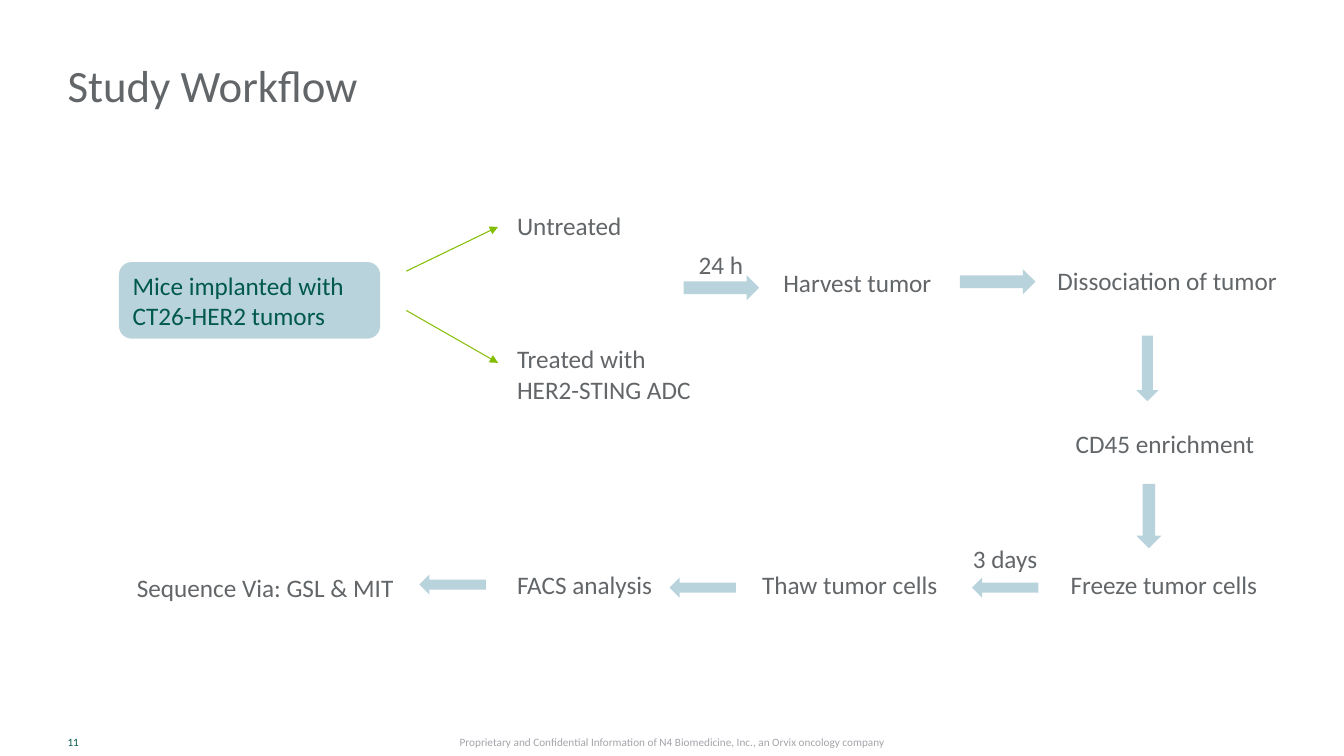
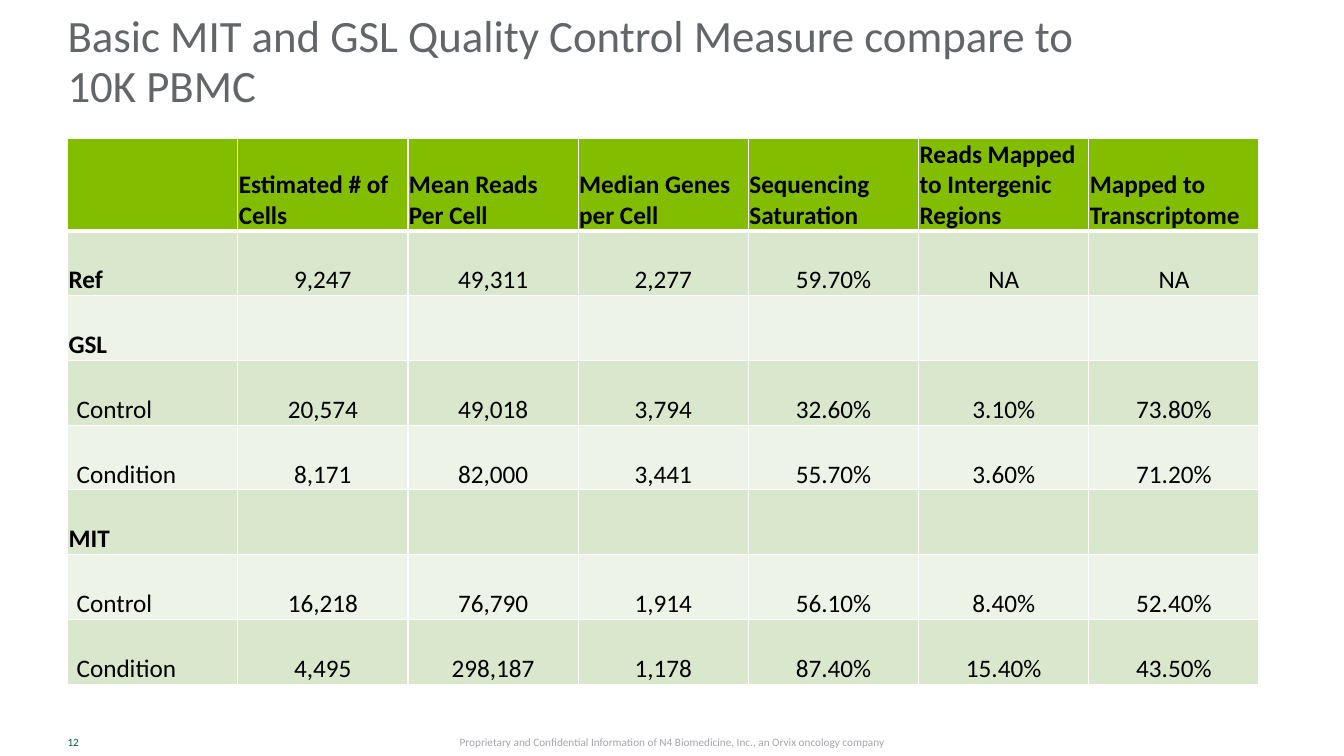
from lxml import etree
from pptx import Presentation
from pptx.dml.color import RGBColor
from pptx.enum.shapes import MSO_CONNECTOR, MSO_SHAPE
from pptx.enum.text import MSO_ANCHOR, MSO_AUTO_SIZE, PP_ALIGN
from pptx.oxml.ns import qn
from pptx.util import Inches, Pt

FONT = "Calibri"
GREY = "636669"
FOOTER_GREY = "A3A5AA"
TEAL = "00594C"
BLUE = "B9D3DC"
GREEN = "83BD00"
BANDS = ("EDF4E7", "D9E8CC")
WHITE = "FFFFFF"
BLACK = "000000"
FOOTER = ("Proprietary and Confidential Information of N4 Biomedicine, Inc., "
          "an Orvix oncology company")

LABELS = [
    ("Untreated", 5.03, 2.04, 1.25),
    ("Harvest tumor", 7.67, 2.6, 1.69),
    ("Dissociation of tumor", 10.39, 2.58, 2.4),
    ("CD45 enrichment", 10.57, 4.2, 1.99),
    ("Freeze tumor cells", 10.52, 5.6, 2.08),
    ("FACS analysis", 5.03, 5.6, 1.55),
    ("Thaw tumor cells", 7.46, 5.6, 1.96),
    ("3 days", 9.55, 5.34, 0.85),
    ("24 h", 6.83, 2.42, 0.65),
    ("Sequence Via: GSL & MIT", 1.26, 5.63, 2.94),
]
BLOCK_ARROWS = [
    (MSO_SHAPE.RIGHT_ARROW, 6.78, 2.73, 0.75, 0.25),
    (MSO_SHAPE.RIGHT_ARROW, 9.52, 2.67, 0.75, 0.25),
    (MSO_SHAPE.DOWN_ARROW, 11.27, 3.33, 0.22, 0.65),
    (MSO_SHAPE.DOWN_ARROW, 11.27, 4.8, 0.25, 0.64),
    (MSO_SHAPE.LEFT_ARROW, 9.64, 5.73, 0.66, 0.2),
    (MSO_SHAPE.LEFT_ARROW, 6.64, 5.73, 0.66, 0.2),
    (MSO_SHAPE.LEFT_ARROW, 4.16, 5.7, 0.66, 0.2),
]
QC_ROWS = [
    ("", "Estimated # of Cells", "Mean Reads Per Cell", "Median Genes per Cell",
     "Sequencing Saturation", "Reads Mapped to Intergenic Regions",
     "Mapped to Transcriptome"),
    ("Ref", "9,247", "49,311", "2,277", "59.70%", "NA", "NA"),
    ("GSL", "", "", "", "", "", ""),
    ("Control", "20,574", "49,018", "3,794", "32.60%", "3.10%", "73.80%"),
    ("Condition", "8,171", "82,000", "3,441", "55.70%", "3.60%", "71.20%"),
    ("MIT", "", "", "", "", "", ""),
    ("Control", "16,218", "76,790", "1,914", "56.10%", "8.40%", "52.40%"),
    ("Condition", "4,495", "298,187", "1,178", "87.40%", "15.40%", "43.50%"),
]
SUBROWS = ("Control", "Condition")


def rgb(color):
    return RGBColor.from_string(color)


def box(*lengths):
    return [Inches(n) for n in lengths]


def set_text(tf, text, size, color, bold=False, align=PP_ALIGN.LEFT):
    tf.text = text
    p = tf.paragraphs[0]
    p.alignment = align
    for r in p.runs:
        r.font.name = FONT
        r.font.size = Pt(size)
        r.font.bold = bold
        r.font.color.rgb = rgb(color)
    return p


def set_margins(target, left, top, right, bottom):
    target.margin_left, target.margin_top = Inches(left), Inches(top)
    target.margin_right, target.margin_bottom = Inches(right), Inches(bottom)


def add_text(slide, text, at, size=18, color=GREY, align=PP_ALIGN.LEFT, wrap=True):
    tf = slide.shapes.add_textbox(*box(*at)).text_frame
    tf.word_wrap = wrap
    set_text(tf, text, size, color, align=align)
    return tf


def add_slide(prs, title, number):
    slide = prs.slides.add_slide(prs.slide_layouts[5])
    sp = slide.shapes.title
    sp.left, sp.top, sp.width, sp.height = box(0.67, 0, 10.54, 1.16)
    tf = sp.text_frame
    tf.auto_size = MSO_AUTO_SIZE.NONE
    tf.word_wrap = True
    tf.vertical_anchor = MSO_ANCHOR.BOTTOM
    set_margins(tf, 0, 0.05, 0.1, 0.05)
    set_text(tf, title, 32, GREY).line_spacing = Pt(36)

    tf = add_text(slide, str(number), (0.67, 7.22, 0.67, 0.28), 8, TEAL)
    tf.vertical_anchor = MSO_ANCHOR.MIDDLE
    set_margins(tf, 0, 0.05, 0, 0.05)
    tf = add_text(slide, FOOTER, (4.24, 7.22, 4.86, 0.28), 8, FOOTER_GREY,
                  PP_ALIGN.CENTER)
    tf.vertical_anchor = MSO_ANCHOR.MIDDLE
    return slide


def add_block(slide, kind, *at):
    sp = slide.shapes.add_shape(kind, *box(*at))
    sp.shadow.inherit = False
    sp.fill.solid()
    sp.fill.fore_color.rgb = rgb(BLUE)
    sp.line.fill.background()
    return sp


def add_thin_arrow(slide, *ends):
    line = slide.shapes.add_connector(MSO_CONNECTOR.STRAIGHT, *box(*ends))
    line.line.color.rgb = rgb(GREEN)
    line.line.width = Pt(0.75)
    etree.SubElement(line.line._get_or_add_ln(), qn("a:tailEnd"), type="triangle")
    etree.SubElement(line._element.spPr, qn("a:effectLst"))


def set_borders(cell, top, bottom):
    tc_pr = cell._tc.get_or_add_tcPr()
    for side, width in (("L", 1), ("R", 1), ("T", top), ("B", bottom)):
        ln = etree.SubElement(tc_pr, qn("a:ln" + side), w=str(Pt(width)))
        fill = etree.SubElement(ln, qn("a:solidFill"))
        etree.SubElement(fill, qn("a:srgbClr"), val=WHITE)


def format_cell(cell, text, row, col):
    header = row == 0
    subrow = text in SUBROWS
    set_borders(cell, 3 if row == 1 else 1, 3 if header else 1)
    cell.fill.solid()
    cell.fill.fore_color.rgb = rgb(GREEN if header else BANDS[row % 2])
    cell.vertical_anchor = MSO_ANCHOR.BOTTOM
    set_margins(cell, 0.09 if subrow else 0.01, 0.01, 0.01, 0)
    set_text(cell.text_frame, text, 18, BLACK,
             bold=header or (col == 0 and not subrow),
             align=PP_ALIGN.LEFT if header or col == 0 else PP_ALIGN.CENTER)


def add_qc_table(slide, rows, left, top, width, height, header_height):
    table = slide.shapes.add_table(len(rows), len(rows[0]),
                                   *box(left, top, width, height)).table
    table.horz_banding = False
    for row in table.rows:
        row.height = Inches((height - header_height) / (len(rows) - 1))
    table.rows[0].height = Inches(header_height)
    for i, row in enumerate(rows):
        for j, text in enumerate(row):
            format_cell(table.cell(i, j), text, i, j)


def build_workflow(prs):
    slide = add_slide(prs, "Study Workflow", 11)
    sp = add_block(slide, MSO_SHAPE.ROUNDED_RECTANGLE, 1.18, 2.6, 2.59, 0.76)
    sp.text_frame.word_wrap = True
    sp.text_frame.vertical_anchor = MSO_ANCHOR.MIDDLE
    set_text(sp.text_frame, "Mice implanted with CT26-HER2 tumors", 18, TEAL)
    add_thin_arrow(slide, 4.03, 2.69, 4.94, 2.25)
    add_thin_arrow(slide, 4.03, 3.08, 4.94, 3.6)
    for arrow in BLOCK_ARROWS:
        add_block(slide, *arrow)
    for text, left, top, width in LABELS:
        add_text(slide, text, (left, top, width, 0.4), wrap=False)
    add_text(slide, "Treated with HER2-STING ADC", (5.03, 3.36, 2.06, 0.71))


def build_quality_control(prs):
    slide = add_slide(
        prs, "Basic MIT and GSL Quality Control Measure compare to 10K PBMC", 12)
    add_qc_table(slide, QC_ROWS, 0.67, 1.37, 11.82, 5.42, 0.92)


def main():
    prs = Presentation()
    prs.slide_width, prs.slide_height = box(13.33, 7.5)
    build_workflow(prs)
    build_quality_control(prs)
    prs.save("out.pptx")


if __name__ == "__main__":
    main()
